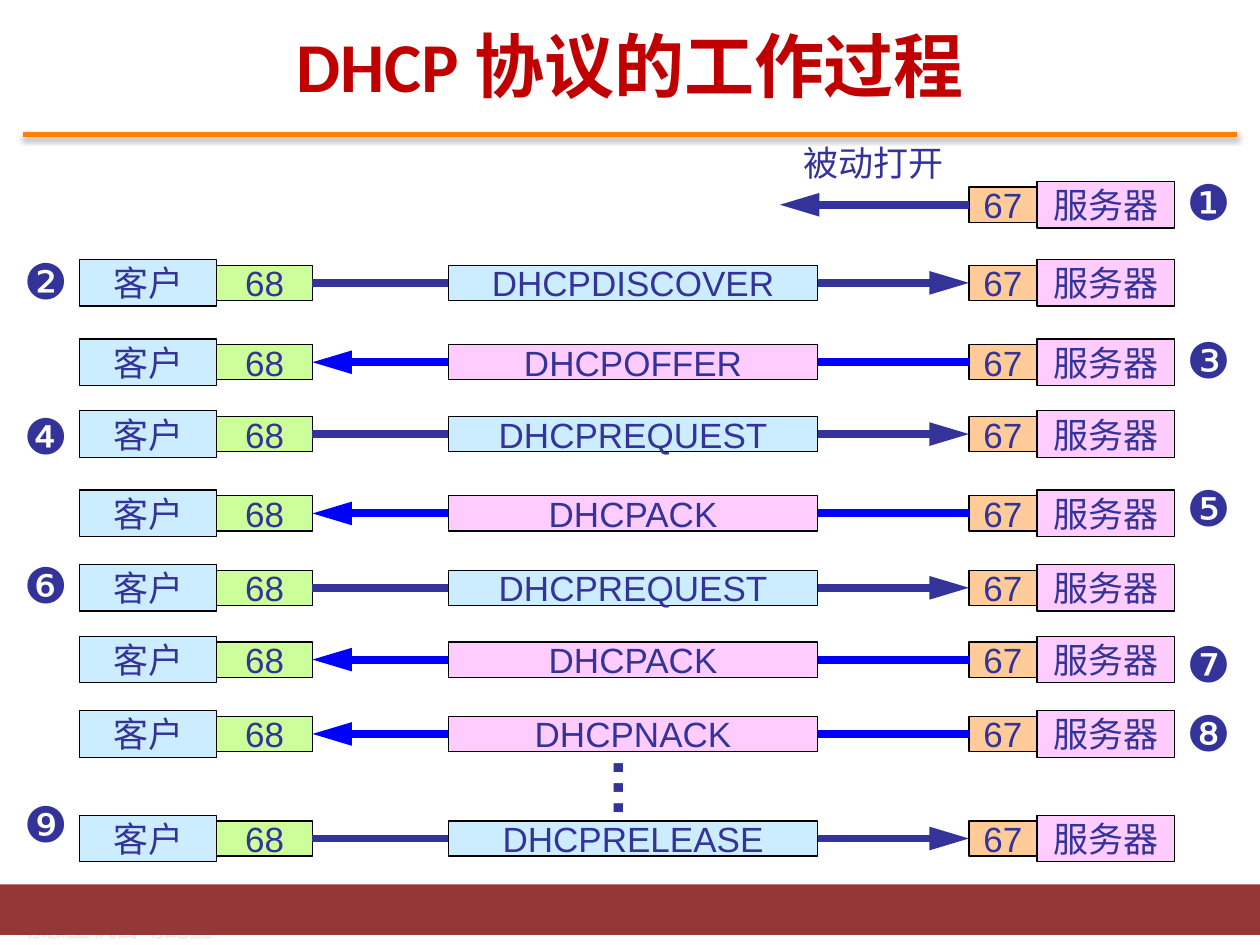
from lxml import etree
from pptx import Presentation
from pptx.dml.color import RGBColor
from pptx.enum.shapes import MSO_CONNECTOR, MSO_SHAPE
from pptx.enum.text import MSO_ANCHOR, MSO_AUTO_SIZE, PP_ALIGN
from pptx.oxml.ns import qn
from pptx.util import Inches, Pt

STRAIGHT, RECTANGLE = MSO_CONNECTOR.STRAIGHT, MSO_SHAPE.RECTANGLE
LEFT, CENTER = PP_ALIGN.LEFT, PP_ALIGN.CENTER
TOP, MIDDLE = MSO_ANCHOR.TOP, MSO_ANCHOR.MIDDLE
FIT_SHAPE, NO_FIT = MSO_AUTO_SIZE.SHAPE_TO_FIT_TEXT, MSO_AUTO_SIZE.NONE
LEFT_SIDE, RIGHT_SIDE = 1, 3

COLORS = {
    "ink": "333399", "reply": "0000FF", "border": "000000",
    "blue": "CCECFF", "pink": "FFCCFF", "orange": "FFCC99", "green": "CCFF99",
    "title": "C00000", "rule": "FF7F00", "bar": "953735", "footer": "EEECE1",
}

ROW_HEIGHT, PORT_HEIGHT = 0.37, 0.28
CLIENT_LEFT, CLIENT_PORT_LEFT = 0.63, 1.72
MESSAGE_LEFT, SERVER_PORT_LEFT, SERVER_LEFT = 3.56, 7.69, 8.23
HOST_WIDTH, CLIENT_PORT_WIDTH = 1.09, 0.76
MESSAGE_WIDTH, SERVER_PORT_WIDTH = 2.93, 0.54
MARKER_LEFT, MARKER_RIGHT = 0.09, 9.32

# message, sent by the client, row top, step number, top of the step number
EXCHANGES = [
    ("DHCPDISCOVER", True, 2.06, "❷", 1.94),
    ("DHCPOFFER", False, 2.69, "❸", 2.57),
    ("DHCPREQUEST", True, 3.26, "❹", 3.17),
    ("DHCPACK", False, 3.89, "❺", 3.74),
    ("DHCPREQUEST", True, 4.48, "❻", 4.35),
    ("DHCPACK", False, 5.05, "❼", 4.98),
    ("DHCPNACK", False, 5.64, "❽", 5.53),
    ("DHCPRELEASE", True, 6.47, "❾", 6.25),
]


def rgb(name):
    return RGBColor.from_string(COLORS[name])


def write_text(shape, text, *, size=20, color="ink", font="Arial", bold=False,
               align=LEFT, anchor=TOP, wrap=False, fit=NO_FIT):
    frame = shape.text_frame
    frame.auto_size = fit
    frame.word_wrap = wrap
    frame.vertical_anchor = anchor
    paragraph = frame.paragraphs[0]
    paragraph.alignment = align
    run = paragraph.add_run()
    run.text = text
    run.font.size = Pt(size)
    run.font.name = font
    run.font.bold = bold
    run.font.color.rgb = rgb(color)


def add_label(slide, text, left, top, width, height, **text_format):
    shape = slide.shapes.add_textbox(Inches(left), Inches(top), Inches(width), Inches(height))
    write_text(shape, text, **text_format)
    return shape


def add_rectangle(slide, left, top, width, height, fill):
    shape = slide.shapes.add_shape(
        RECTANGLE, Inches(left), Inches(top), Inches(width), Inches(height))
    shape.shadow.inherit = False
    shape.fill.solid()
    shape.fill.fore_color.rgb = rgb(fill)
    return shape


def add_box(slide, text, left, row_top, width, height, fill):
    """Add a bordered, captioned rectangle centred vertically in its row."""
    top = row_top + (ROW_HEIGHT - height) / 2
    box = add_rectangle(slide, left, top, width, height, fill)
    box.line.color.rgb = rgb("border")
    box.line.width = Pt(0.75)
    write_text(box, text, align=CENTER, anchor=MIDDLE)
    return box


def add_line(slide, start, end, color, width):
    """Add a connector and return it with its empty effect list."""
    line = slide.shapes.add_connector(
        STRAIGHT, *(Inches(value) for value in (*start, *end)))
    line.line.color.rgb = rgb(color)
    line.line.width = Pt(width)
    effects = etree.SubElement(line._element.spPr, qn("a:effectLst"))
    return line, effects


def add_arrow(slide, start, end, color):
    arrow, _ = add_line(slide, start, end, color, 4.5)
    head = etree.Element(qn("a:tailEnd"), type="triangle", w="med", len="lg")
    arrow.line._get_or_add_ln().append(head)
    return arrow


def add_client(slide, top):
    add_box(slide, "客户", CLIENT_LEFT, top, HOST_WIDTH, ROW_HEIGHT, "blue")
    return add_box(slide, "68", CLIENT_PORT_LEFT, top, CLIENT_PORT_WIDTH, PORT_HEIGHT, "green")


def add_server(slide, top):
    add_box(slide, "服务器", SERVER_LEFT, top, HOST_WIDTH, ROW_HEIGHT, "pink")
    return add_box(slide, "67", SERVER_PORT_LEFT, top, SERVER_PORT_WIDTH, PORT_HEIGHT, "orange")


def add_marker(slide, number, left, top):
    add_label(slide, number, left, top, 0.55, 0.57, size=28, fit=FIT_SHAPE)


def add_passive_open(slide, top):
    port = add_server(slide, top)
    middle = top + ROW_HEIGHT / 2
    arrow = add_arrow(slide, (SERVER_PORT_LEFT, middle), (6.19, middle), "ink")
    arrow.begin_connect(port, LEFT_SIDE)
    add_label(slide, "被动打开", 6.28, top - 0.37, 1.31, 0.43, fit=FIT_SHAPE)
    add_marker(slide, "❶", MARKER_RIGHT, top - 0.13)


def add_exchange(slide, message, from_client, top, number, number_top):
    ends = [(add_client(slide, top), RIGHT_SIDE), (add_server(slide, top), LEFT_SIDE)]
    middle = top + ROW_HEIGHT / 2
    points = [(CLIENT_PORT_LEFT + CLIENT_PORT_WIDTH, middle), (SERVER_PORT_LEFT, middle)]
    if not from_client:
        ends.reverse()
        points.reverse()
    arrow = add_arrow(slide, *points, "ink" if from_client else "reply")
    arrow.begin_connect(*ends[0])
    arrow.end_connect(*ends[1])
    add_box(slide, message, MESSAGE_LEFT, top, MESSAGE_WIDTH, PORT_HEIGHT,
            "blue" if from_client else "pink")
    add_marker(slide, number, MARKER_LEFT if from_client else MARKER_RIGHT, number_top)


def add_header(slide, left, top, width):
    add_label(slide, "DHCP 协议的工作过程", left + 0.32, top, width - 0.64, 0.43, size=40,
              color="title", font="Calibri", bold=True, align=CENTER, anchor=MIDDLE, wrap=True)
    rule_top = top + 0.77
    _, effects = add_line(slide, (left, rule_top), (left + width, rule_top), "rule", 3)
    shadow = etree.SubElement(
        effects, qn("a:outerShdw"), blurRad=str(Pt(3.1)), dist=str(Pt(1.8)),
        dir="5400000", rotWithShape="0")
    shade = etree.SubElement(shadow, qn("a:srgbClr"), val=COLORS["border"])
    etree.SubElement(shade, qn("a:alpha"), val="35000")


def add_footer(slide, left, top, width):
    add_label(slide, "动态主机自动配置", left + 0.04, top + 0.2, 2.56, 0.28,
              size=14, color="footer", anchor=MIDDLE, wrap=True)
    bar = add_rectangle(slide, left, top, width, 0.4, "bar")
    bar.line.fill.background()


def main():
    presentation = Presentation()
    presentation.slide_width = Inches(10)
    presentation.slide_height = Inches(7.5)
    slide = presentation.slides.add_slide(presentation.slide_layouts[6])

    add_passive_open(slide, 1.44)
    for exchange in EXCHANGES:
        add_exchange(slide, *exchange)
    dots = add_label(slide, "…", 4.4, 5.9, 0.7, 0.7, size=36, bold=True, fit=FIT_SHAPE)
    dots.rotation = 270
    add_header(slide, 0.18, 0.3, 9.64)
    add_footer(slide, 0, 7.02, 10)
    presentation.save("out.pptx")


if __name__ == "__main__":
    main()
